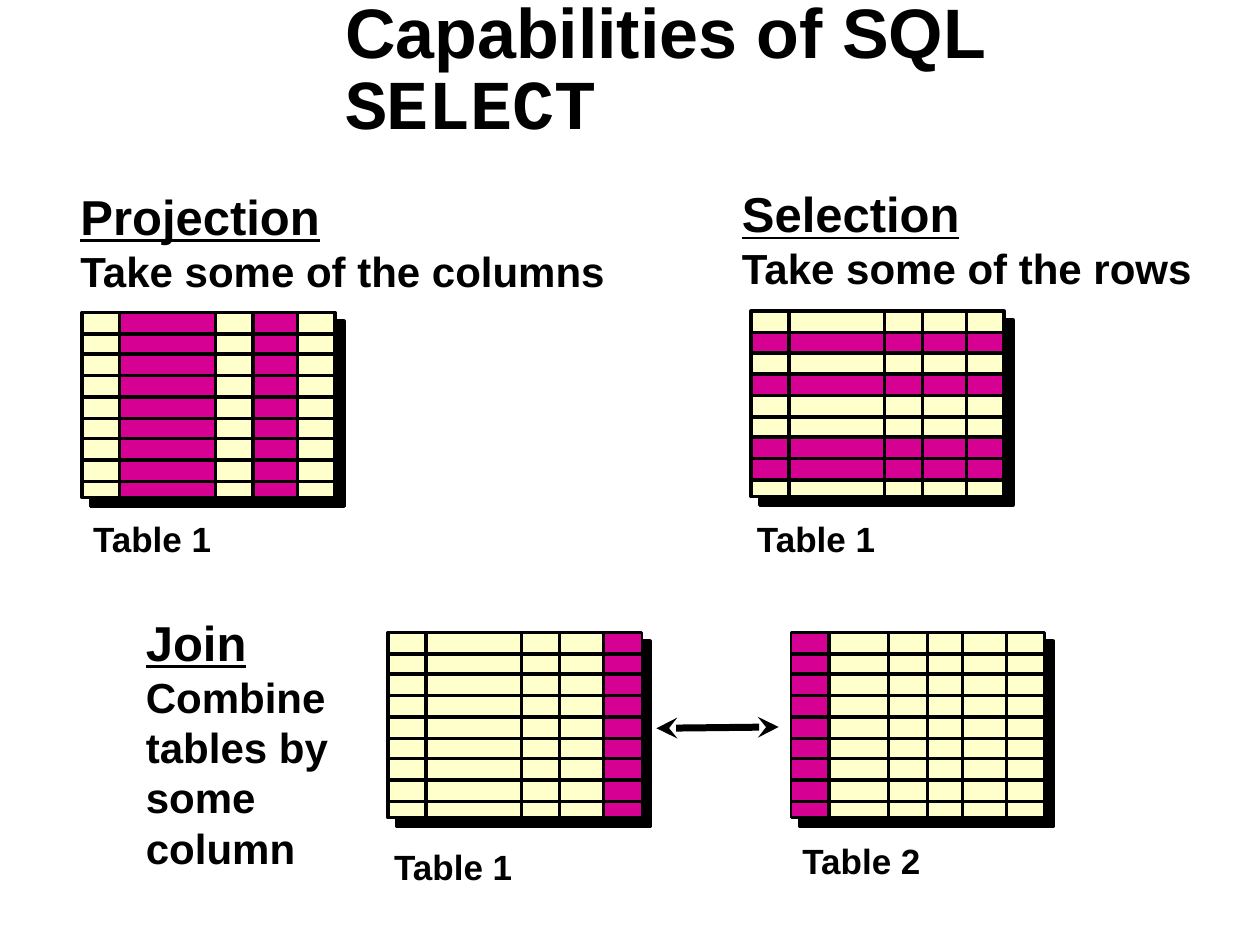
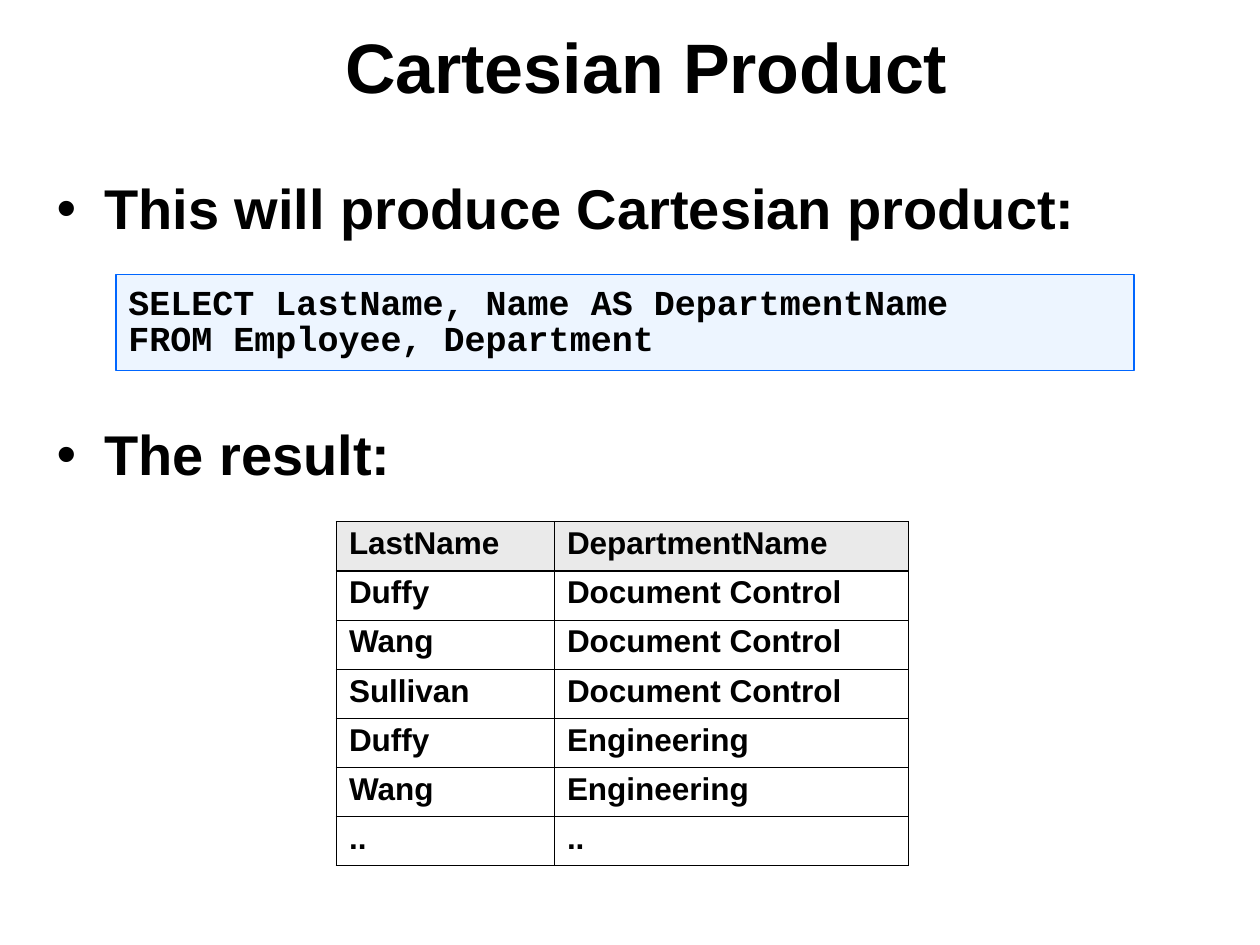
from dataclasses import dataclass
from typing import Optional

from lxml.etree import SubElement
from pptx import Presentation
from pptx.dml.color import RGBColor
from pptx.enum.shapes import MSO_CONNECTOR, MSO_SHAPE
from pptx.enum.text import MSO_ANCHOR, PP_ALIGN
from pptx.oxml.ns import qn
from pptx.util import Emu, Pt

# Shared look: 100 px to the inch
PX = 9144
SANS, MONO = "Arial", "Courier New"
BLACK, CREAM, PINK = "000000", "FFFFCC", "D60093"
GREY, PALE, BLUE = "EAEAEA", "DDECFF", "0066FF"

# Size and row lines of every small grid
WIDE, TALL = 201, 147
ROWS = [0, *(round(16.7 * i) for i in range(1, 9)), TALL]


@dataclass
class Line:
    text: str
    size: int
    face: str = SANS
    under: bool = False
    gap: int = 0
    space: Optional[float] = None
    dot: bool = False
    code: str = ""  # closing run in the code font


@dataclass
class Box:
    left: int
    top: int
    width: int
    height: int
    lines: list[Line]
    wrap: bool = True


@dataclass
class Grid:
    left: int
    top: int
    cuts: tuple[int, ...]
    cols: tuple[tuple[int, int], ...] = ()  # lit spans, from edge to edge
    rows: tuple[tuple[int, int], ...] = ()


def px(size: float) -> Emu:
    return Emu(round(size * PX))


def tint(code: str) -> RGBColor:
    return RGBColor.from_string(code)


# Text
def write(frame, lines: list[Line]) -> None:
    for i, line in enumerate(lines):
        para = frame.paragraphs[0] if i == 0 else frame.add_paragraph()
        para.alignment = PP_ALIGN.LEFT
        para.add_run().text = line.text
        if line.code:
            run = para.add_run()
            run.text = line.code
            run.font.name = MONO
        if line.space:
            para.line_spacing = line.space
        if line.gap:
            para.space_before = Pt(line.gap)
        if line.dot:
            props = para._p.get_or_add_pPr()
            props.set("marL", str(px(38)))
            props.set("indent", str(px(-38)))
            SubElement(props, qn("a:buFont"), typeface=SANS)
            SubElement(props, qn("a:buChar"), char="•")
        font = para.font
        font.name, font.size, font.bold = line.face, Pt(line.size), True
        font.color.rgb = tint(BLACK)
        if line.under:
            font.underline = True


def add_box(slide, box: Box):
    shape = slide.shapes.add_textbox(px(box.left), px(box.top), px(box.width), px(box.height))
    shape.text_frame.word_wrap = box.wrap
    write(shape.text_frame, box.lines)
    return shape


def add_title(slide, text: str, code: str = "") -> None:
    line = Line(text, 40, space=0.85, code=code)
    shape = add_box(slide, Box(264, 8, 717, 99, [line]))
    shape.text_frame.vertical_anchor = MSO_ANCHOR.MIDDLE


# Shapes
def add_rect(slide, left: int, top: int, width: int, height: int,
             fill: str, edge: str = BLACK, weight: float = 0.75):
    shape = slide.shapes.add_shape(
        MSO_SHAPE.RECTANGLE, px(left), px(top), px(width), px(height))
    shape.shadow.inherit = False
    shape.fill.solid()
    shape.fill.fore_color.rgb = tint(fill)
    shape.line.color.rgb = tint(edge)
    shape.line.width = Pt(weight)
    return shape


def add_rule(slide, x1: int, y1: int, x2: int, y2: int, weight: float = 2):
    rule = slide.shapes.add_connector(
        MSO_CONNECTOR.STRAIGHT, px(x1), px(y1), px(x2), px(y2))
    rule.line.color.rgb = tint(BLACK)
    rule.line.width = Pt(weight)
    SubElement(rule._element.spPr, qn("a:effectLst"))
    return rule


def add_grid(slide, grid: Grid) -> None:
    x, y = grid.left, grid.top
    edges = [0, *grid.cuts, WIDE]
    base = add_rect(slide, x, y, WIDE, TALL, CREAM, weight=2)
    glow = base._element.spPr.find(qn("a:effectLst"))
    shade = SubElement(glow, qn("a:outerShdw"), dist=str(Pt(7.1)),
                       dir="2700000", algn="ctr", rotWithShape="0")
    SubElement(shade, qn("a:srgbClr"), val=BLACK)
    for a, b in grid.cols:
        add_rect(slide, x + edges[a], y + 1, edges[b] - edges[a], TALL - 2, PINK)
    for a, b in grid.rows:
        add_rect(slide, x + 1, y + ROWS[a], WIDE - 2, ROWS[b] - ROWS[a], PINK)
    for cut in grid.cuts:
        add_rule(slide, x + cut, y - 1, x + cut, y + TALL + 1)
    for row in ROWS[1:-1]:
        add_rule(slide, x - 1, y + row, x + WIDE + 1, y + row)


# Table
def add_table(slide, left: int, top: int, widths: list[int], high: int,
              data: list[tuple[str, str]]) -> None:
    count = len(data)
    table = slide.shapes.add_table(count, len(widths), px(left), px(top),
                                   px(sum(widths)), px(high * count)).table
    table.first_row = table.horz_banding = False
    for col, width in zip(table.columns, widths):
        col.width = px(width)
    for r, texts in enumerate(data):
        table.rows[r].height = px(high)
        for c, text in enumerate(texts):
            cell = table.cell(r, c)
            props = cell._tc.get_or_add_tcPr()
            thick = {"lnL": c == 0, "lnR": c == len(widths) - 1,
                     "lnT": r < 2, "lnB": r in (0, count - 1)}
            for side, bold in thick.items():
                edge = SubElement(props, qn(f"a:{side}"), w=str(Pt(1.08 if bold else 0.45)))
                paint = SubElement(edge, qn("a:solidFill"))
                SubElement(paint, qn("a:srgbClr"), val=BLACK)
            if r == 0:
                cell.fill.solid()
                cell.fill.fore_color.rgb = tint(GREY)
            else:
                cell.fill.background()
            write(cell.text_frame, [Line(text, 18, space=0.95)])


def head(name: str, *texts: str) -> list[Line]:
    return [Line(name, 28, under=True), *(Line(text, 24) for text in texts)]


# Slide 1: the three uses of SELECT
CUTS = (30, 106, 136, 171)
GRIDS = [
    Grid(65, 248, CUTS, cols=((1, 2), (3, 4))),
    Grid(596, 247, CUTS, rows=((1, 2), (3, 4), (6, 8))),
    Grid(308, 502, CUTS, cols=((4, 5),)),
    Grid(628, 502, (30, 77, 108, 136, 171), cols=((0, 1),)),
]
HEADS = [
    Box(54, 143, 438, 97, head("Projection", "Take some of the columns"), False),
    Box(579, 141, 379, 97, head("Selection", "Take some of the rows"), False),
    Box(106, 481, 173, 217, head("Join", "Combine tables by", "some column")),
]
NAMES = [(64, 406, "Table 1"), (591, 406, "Table 1"),
         (303, 666, "Table 1"), (627, 661, "Table 2")]


def draw_uses(slide) -> None:
    add_title(slide, "Capabilities of SQL ", "SELECT")
    for grid in GRIDS:
        add_grid(slide, grid)
    arrow = add_rule(slide, 521, 578, 618, 577, 4)
    for end in ("headEnd", "tailEnd"):
        SubElement(arrow.line._get_or_add_ln(), qn(f"a:{end}"), type="stealth")
    for left, top, name in NAMES:
        add_box(slide, Box(left, top, 116, 44, [Line(name, 20)], False))
    for box in HEADS:
        add_box(slide, box)


# Slide 2: a query and its result
QUERY = ["SELECT LastName, Name AS DepartmentName", "FROM Employee, Department"]
RESULT = [
    ("LastName", "DepartmentName"),
    ("Duffy", "Document Control"),
    ("Wang", "Document Control"),
    ("Sullivan", "Document Control"),
    ("Duffy", "Engineering"),
    ("Wang", "Engineering"),
    ("..", ".."),
]


def draw_product(slide) -> None:
    add_title(slide, "Cartesian Product")
    add_box(slide, Box(35, 139, 929, 583, [
        Line("This will produce Cartesian product:", 32, space=0.9, dot=True),
        Line("The result:", 32, space=0.9, dot=True, gap=106),
    ]))
    panel = add_rect(slide, 92, 218, 808, 76, PALE, BLUE)
    shade = panel._element.spPr.find(qn("a:solidFill"))
    SubElement(shade[0], qn("a:alpha"), val="50000")
    frame = panel.text_frame
    frame.word_wrap = True
    frame.vertical_anchor = MSO_ANCHOR.TOP
    frame.margin_top = frame.margin_bottom = px(10)
    write(frame, [Line(text, 20, MONO, space=0.85) for text in QUERY])
    add_table(slide, 267, 414, [173, 281], 39, RESULT)


def main() -> None:
    deck = Presentation()
    deck.slide_width, deck.slide_height = px(1000), px(750)
    for draw in (draw_uses, draw_product):
        draw(deck.slides.add_slide(deck.slide_layouts[6]))
    deck.save("out.pptx")


if __name__ == "__main__":
    main()
